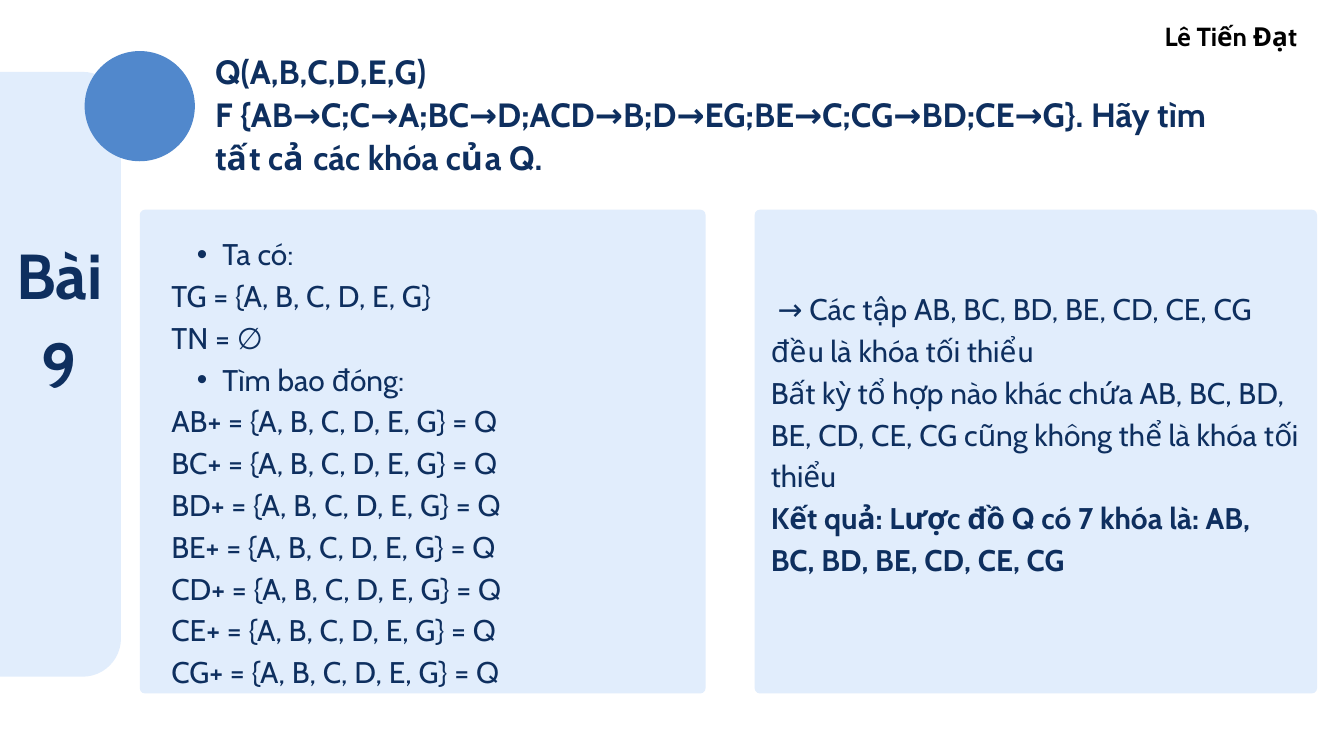
"""Build the slide for exercise 9: finding all keys of a relation schema."""
from lxml import etree
from pptx import Presentation
from pptx.dml.color import RGBColor
from pptx.enum.shapes import MSO_SHAPE
from pptx.enum.text import PP_ALIGN
from pptx.oxml.ns import qn
from pptx.util import Inches, Pt

ROUNDED, OVAL = MSO_SHAPE.ROUNDED_RECTANGLE, MSO_SHAPE.OVAL
LEFT, CENTER = PP_ALIGN.LEFT, PP_ALIGN.CENTER
PALE = RGBColor(0xE1, 0xED, 0xFC)
BLUE = RGBColor(0x51, 0x88, 0xCC)
NAVY = RGBColor(0x0E, 0x2F, 0x5F)
BLACK = RGBColor(0, 0, 0)
FONT = "Cabin"

PANELS = [
    (ROUNDED, (2.08, 3.12, 8.42, 7.2), PALE, 0.08),
    (ROUNDED, (11.23, 3.12, 8.37, 7.2), PALE, 0.08),
    (ROUNDED, (-1.87, 1.07, 3.67, 9), PALE, 0.57),
    (OVAL, (1.26, 0.76, 1.64, 1.64), BLUE, None),
]

KEYS = ["AB", "BC", "BD", "BE", "CD", "CE", "CG"]
ALL_ATTRIBUTES = "{A, B, C, D, E, G}"
KEY_LIST = ", ".join(KEYS)

QUESTION = [
    ("Q(A,B,C,D,E,G)", "bold"),
    ("F {AB→C;C→A;BC→D;ACD→B;D→EG;BE→C;CG→BD;CE→G}. Hãy tìm tất cả các khóa của Q.", "bold"),
]
CLOSURES = [
    ("Ta có:", "bullet"),
    (f"TG = {ALL_ATTRIBUTES}", "plain"),
    ("TN = ∅", "plain"),
    ("Tìm bao đóng:", "bullet"),
] + [(f"{key}+ = {ALL_ATTRIBUTES} = Q", "plain") for key in KEYS]
CONCLUSION = [
    (f" → Các tập {KEY_LIST} đều là khóa tối thiểu", "plain"),
    (f"Bất kỳ tổ hợp nào khác chứa {KEY_LIST} cũng không thể là khóa tối thiểu", "plain"),
    (f"Kết quả: Lược đồ Q có 7 khóa là: {KEY_LIST}", "bold"),
]

TEXTS = [
    ((3.2, 0.73, 15.23, 2.5), QUESTION, 36, 45.7, NAVY, LEFT),
    ((2.55, 3.42, 7.47, 7.36), CLOSURES, 32, 44.8, NAVY, LEFT),
    ((11.47, 4.24, 7.89, 4.9), CONCLUSION, 32, 44.8, NAVY, LEFT),
    ((0.15, 3.33, 1.47, 2.59), [("Bài 9", "bold")], 68, 95.2, NAVY, CENTER),
    ((17.27, 0.23, 2.09, 0.54), [("Lê Tiến Đạt", "bold")], 28, 39.2, BLACK, CENTER),
]


def add_panel(slide, kind, box, color, radius):
    shape = slide.shapes.add_shape(kind, *map(Inches, box))
    shape.shadow.inherit = False
    shape.fill.solid()
    shape.fill.fore_color.rgb = color
    shape.line.fill.background()
    if radius:
        shape.adjustments[0] = radius / min(box[2:])


def add_bullet(paragraph):
    paragraph.level = 1
    properties = paragraph._p.get_or_add_pPr()
    properties.set("marL", str(Inches(0.76)))
    properties.set("indent", str(Inches(-0.38)))
    bullet_font = etree.SubElement(properties, qn("a:buFont"))
    bullet_font.set("typeface", "Arial")
    etree.SubElement(properties, qn("a:buChar")).set("char", "•")


def add_text(slide, box, lines, size, spacing, color, alignment):
    frame = slide.shapes.add_textbox(*map(Inches, box)).text_frame
    frame_format = {"word_wrap": True, "margin_left": 0, "margin_right": 0,
                    "margin_top": 0, "margin_bottom": 0}
    for name, value in frame_format.items():
        setattr(frame, name, value)
    for index, (text, style) in enumerate(lines):
        paragraph = frame.add_paragraph() if index else frame.paragraphs[0]
        paragraph.alignment = alignment
        paragraph.line_spacing = Pt(spacing)
        if style == "bullet":
            add_bullet(paragraph)
        run = paragraph.add_run()
        run.text = text
        run_format = {"name": FONT, "size": Pt(size), "bold": style == "bold"}
        for name, value in run_format.items():
            setattr(run.font, name, value)
        run.font.color.rgb = color


def main():
    presentation = Presentation()
    presentation.slide_width = Inches(20)
    presentation.slide_height = Inches(11.25)
    slide = presentation.slides.add_slide(presentation.slide_layouts[6])
    for panel in PANELS:
        add_panel(slide, *panel)
    for text in TEXTS:
        add_text(slide, *text)
    presentation.save("out.pptx")


if __name__ == "__main__":
    main()
